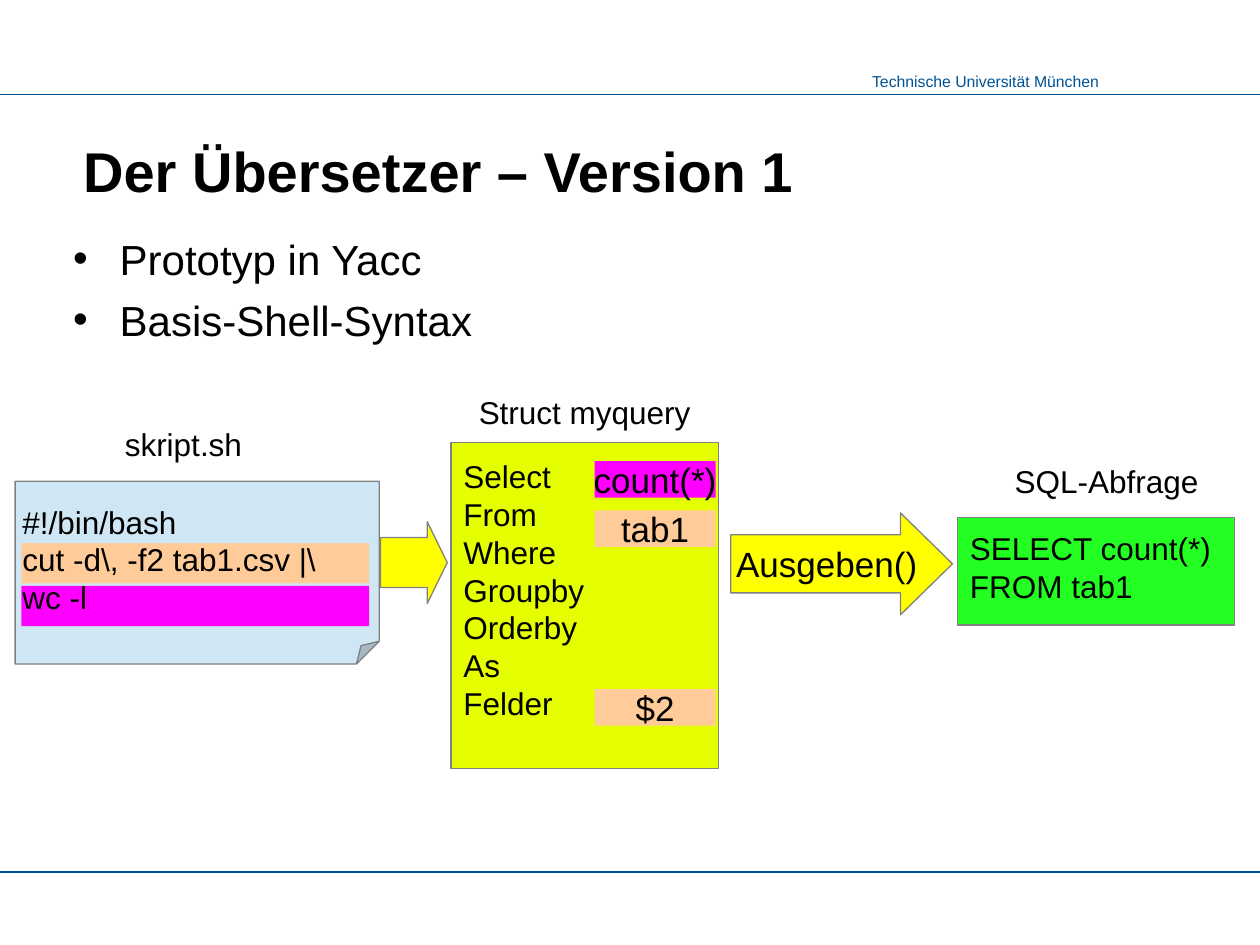
from lxml import etree
from pptx import Presentation
from pptx.dml import color as dml
from pptx.enum import shapes, text
from pptx.oxml import ns
from pptx.util import Inches, Pt

BLACK, BLUE, GREY = "000000", "005293", "808080"
PEACH, MAGENTA, YELLOW = "FFCC99", "FF00FF", "FFFF00"
ALIGN, ANCHOR, SHAPE = text.PP_ALIGN, text.MSO_ANCHOR, shapes.MSO_SHAPE


def rgb(value):
    return dml.RGBColor.from_string(value)


def place(item, box):
    item.left, item.top, item.width, item.height = map(Inches, box)


def add_bullet(paragraph, indent):
    properties = paragraph._p.get_or_add_pPr()
    properties.set("marL", str(Inches(indent)))
    properties.set("indent", str(-Inches(indent)))
    bullet_color = etree.SubElement(properties, ns.qn("a:buClr"))
    etree.SubElement(bullet_color, ns.qn("a:srgbClr"), val=BLACK)
    etree.SubElement(properties, ns.qn("a:buFont"), typeface="Arial")
    etree.SubElement(properties, ns.qn("a:buChar"), char="•")


def write(frame, content, size=18, color=BLACK, bold=False, align=ALIGN.LEFT,
          anchor=ANCHOR.TOP, wrap=True, bullet_indent=None, gap=0):
    frame.text = content
    frame.auto_size = text.MSO_AUTO_SIZE.NONE
    frame.word_wrap = wrap
    frame.vertical_anchor = anchor
    frame.margin_left = frame.margin_right = Inches(0.1)
    frame.margin_top = frame.margin_bottom = Inches(0.05)
    for index, paragraph in enumerate(frame.paragraphs):
        paragraph.alignment = align
        paragraph.space_before = Pt(gap if index else 0)
        if bullet_indent:
            add_bullet(paragraph, bullet_indent)
        paragraph.font.name = "Arial"
        paragraph.font.size = Pt(size)
        paragraph.font.bold = bold
        paragraph.font.color.rgb = rgb(color)


def add_label(slide, content, box, **style):
    label = slide.shapes.add_textbox(*map(Inches, box))
    write(label.text_frame, content, **style)


def add_block(slide, kind, box, fill, outline=None, adjustments=(), content=None):
    block = slide.shapes.add_shape(kind, *map(Inches, box))
    block.shadow.inherit = False
    block.fill.solid()
    block.fill.fore_color.rgb = rgb(fill)
    if outline:
        block.line.color.rgb = rgb(outline)
        block.line.width = Pt(0.75)
    else:
        block.line.fill.background()
    for index, value in enumerate(adjustments):
        block.adjustments[index] = value
    if content:
        write(block.text_frame, content, size=20, align=ALIGN.CENTER,
              anchor=ANCHOR.MIDDLE, wrap=False)
    return block


def set_fold(sheet, share):
    guides = sheet._element.spPr.find(ns.qn("a:prstGeom")).find(ns.qn("a:avLst"))
    etree.SubElement(guides, ns.qn("a:gd"), name="adj", fmla=f"val {share * 100000:.0f}")


def add_rule(slide, top):
    rule = slide.shapes.add_connector(
        shapes.MSO_CONNECTOR.STRAIGHT, 0, Inches(top), Inches(10), Inches(top))
    rule.line.color.rgb = rgb(BLUE)
    rule.line.width = Pt(0.75)
    etree.SubElement(rule._element.spPr, ns.qn("a:effectLst"))


def add_frame(slide):
    add_label(slide, "Technische Universität München", (6.81, 0.52, 2.01, 0.25),
              size=9, color=BLUE, align=ALIGN.RIGHT, wrap=False)
    for top in (0.75, 6.92):
        add_rule(slide, top)


def add_headline(slide):
    title, points = slide.placeholders
    place(title, (0.56, 0.5, 8.89, 1.17))
    write(title.text_frame, "Der Übersetzer – Version 1", size=32, bold=True,
          anchor=ANCHOR.BOTTOM)
    place(points, (0.48, 1.8, 8.89, 1.07))
    write(points.text_frame, "Prototyp in Yacc\nBasis-Shell-Syntax", size=24,
          bullet_indent=0.37, gap=6)


def add_query(slide):
    add_block(slide, SHAPE.RECTANGLE, (7.6, 4.11, 2.2, 0.85), "23FF23", GREY)
    add_label(slide, "SELECT count(*)\nFROM tab1", (7.6, 4.15, 2.17, 0.8))
    add_label(slide, "SQL-Abfrage", (7.7, 3.62, 1.91, 0.48), align=ALIGN.RIGHT)


def add_script(slide):
    sheet = add_block(slide, SHAPE.FOLDED_CORNER, (0.12, 3.82, 2.89, 1.45),
                      "CFE7F5", GREY)
    set_fold(sheet, 0.125)
    for top, fill in ((4.31, PEACH), (4.65, MAGENTA)):
        add_block(slide, SHAPE.RECTANGLE, (0.17, top, 2.76, 0.32), fill)
    add_label(slide, "skript.sh", (0.75, 3.32, 1.27, 0.52), align=ALIGN.RIGHT,
              wrap=False)
    add_label(slide, "#!/bin/bash\ncut -d\\, -f2 tab1.csv |\\\nwc -l",
              (0.08, 3.94, 2.94, 1.19))


def add_struct(slide):
    fields = ("Select", "From", "Where", "Groupby", "Orderby", "As", "Felder")
    values = ((3.66, MAGENTA, "count(*)"), (4.05, PEACH, "tab1"), (5.47, PEACH, "$2"))
    add_block(slide, SHAPE.RECTANGLE, (3.58, 3.51, 2.12, 2.59), "E6FF00", GREY)
    add_label(slide, "\n".join(fields), (3.58, 3.58, 2.1, 2.56))
    add_label(slide, "Struct myquery", (3.58, 3.07, 2.12, 0.66), align=ALIGN.CENTER)
    for top, fill, value in values:
        add_block(slide, SHAPE.RECTANGLE, (4.72, top, 0.96, 0.29), fill, content=value)


def add_arrows(slide):
    add_block(slide, SHAPE.RIGHT_ARROW, (3.02, 4.14, 0.53, 0.65), YELLOW, GREY,
              (0.61, 0.3))
    add_block(slide, SHAPE.RIGHT_ARROW, (5.8, 4.07, 1.76, 0.81), YELLOW, GREY,
              (0.57, 0.51), "Ausgeben()")


def main():
    deck = Presentation()
    deck.slide_width, deck.slide_height = Inches(10), Inches(7.5)
    slide = deck.slides.add_slide(deck.slide_layouts[1])
    add_frame(slide)
    add_headline(slide)
    add_query(slide)
    add_script(slide)
    add_struct(slide)
    add_arrows(slide)
    deck.save("out.pptx")


if __name__ == "__main__":
    main()
